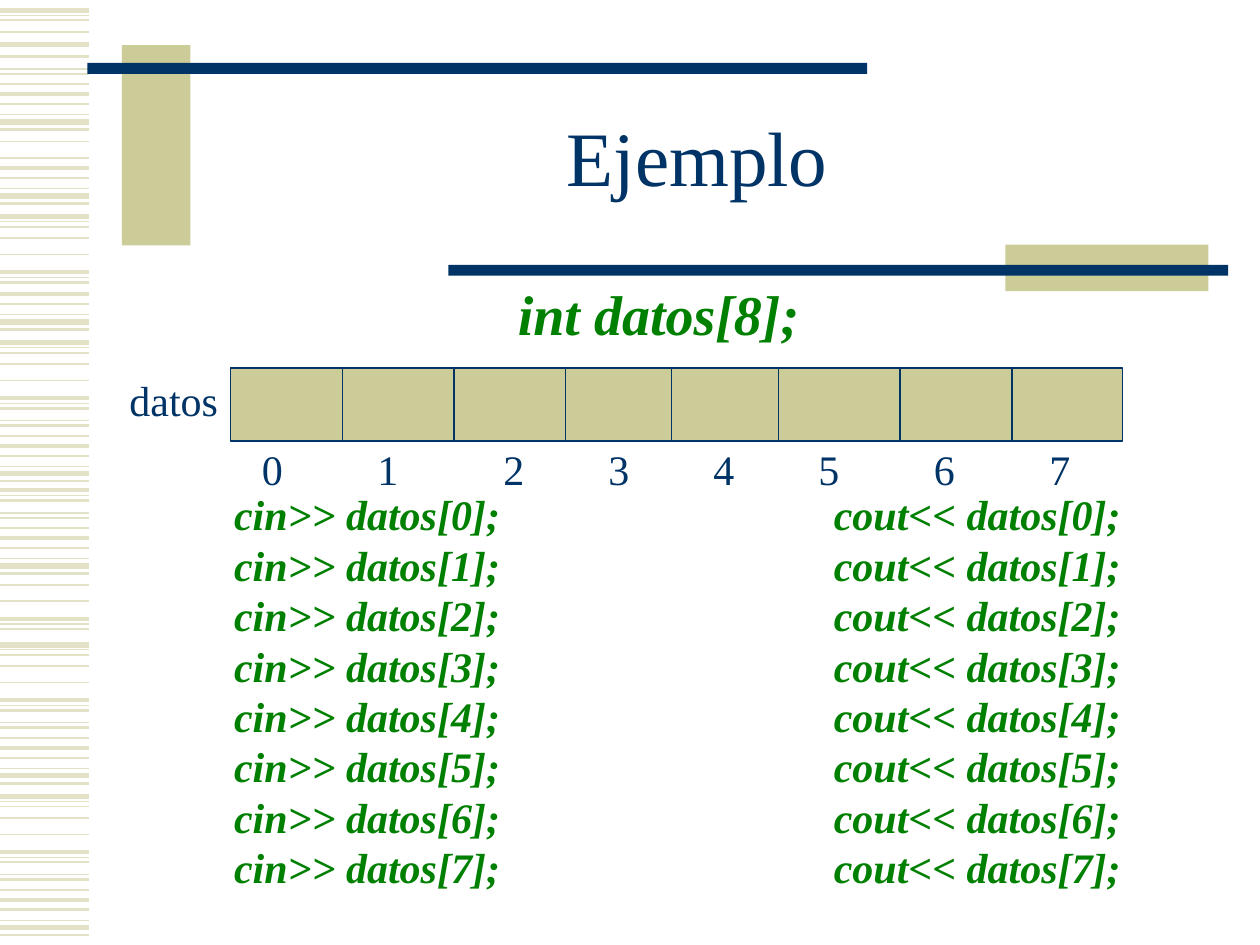
import itertools

import pptx
import pptx.dml.color
import pptx.enum.shapes
import pptx.enum.text
import pptx.oxml
import pptx.oxml.ns
import pptx.util
from pptx.util import Cm

NAVY, SAND, PALE, GREEN = "003366", "CCCC99", "E3E2C7", "008000"
CELLS = 8


def colour(value):
    return pptx.dml.color.RGBColor.from_string(value)


def add_element(parent, tag, **attributes):
    element = pptx.oxml.parse_xml(f"<a:{tag} {pptx.oxml.ns.nsdecls('a')}/>")
    for name, value in attributes.items():
        element.set(name, str(value))
    parent.append(element)
    return element


def write(para, text, size=24, ink=NAVY, strong=False, align=None, spacing=None, tabs=()):
    """Fill a paragraph with one formatted span; tabs are stops in points."""
    if align is not None:
        para.alignment = align
    if spacing:
        para.line_spacing = spacing
    if tabs:
        stops = add_element(para._p.get_or_add_pPr(), "tabLst")
        for stop in tabs:
            add_element(stops, "tab", pos=pptx.util.Pt(stop), algn="l")
    span = para.add_run()
    span.text = text
    span.font.name = "Times New Roman"
    span.font.size = pptx.util.Pt(size)
    span.font.color.rgb = colour(ink)
    span.font.bold = span.font.italic = strong


class SlideBuilder:
    def __init__(self, page):
        self.page = page

    def line(self, x1, y1, x2, y2, ink, weight):
        line = self.page.shapes.add_connector(
            pptx.enum.shapes.MSO_CONNECTOR.STRAIGHT, Cm(x1), Cm(y1), Cm(x2), Cm(y2))
        line.line.color.rgb = colour(ink)
        line.line.width = pptx.util.Pt(weight)
        add_element(line._element.spPr, "effectLst")

    def bar(self, left, top, width, height, fill, outline=None):
        bar = self.page.shapes.add_shape(
            pptx.enum.shapes.MSO_SHAPE.RECTANGLE, Cm(left), Cm(top), Cm(width), Cm(height))
        bar.shadow.inherit = False
        bar.fill.solid()
        bar.fill.fore_color.rgb = colour(fill)
        if outline:
            bar.line.color.rgb = colour(outline)
            bar.line.width = pptx.util.Pt(0.75)
        else:
            bar.line.fill.background()

    def text(self, left, top, width, height, lines, wrap=False, middle=False, **style):
        box = self.page.shapes.add_textbox(Cm(left), Cm(top), Cm(width), Cm(height))
        frame = box.text_frame
        frame.word_wrap = wrap
        if middle:
            frame.vertical_anchor = pptx.enum.text.MSO_ANCHOR.MIDDLE
        for index, line in enumerate(lines):
            para = frame.add_paragraph() if index else frame.paragraphs[0]
            write(para, line, **style)


def draw_stripes(builder):
    # Distance above the lowest stripe in cm, and weight in points
    motif = [(0, 1.5), (0.15, 3), (0.3, 0.75), (0.51, 1.5), (0.71, 2.25), (0.91, 1),
             (1.12, 1.5), (1.22, 0.75), (1.47, 1.5), (1.57, 0.75), (1.68, 2.25),
             (2.03, 1), (2.36, 1), (2.59, 1), (2.69, 0.75), (2.79, 3)]
    # Base of each repeat, and which stripes of the motif it uses
    repeats = [(18.85, 0, 16), (15.79, 0, 16), (14.15, 8, 13), (11.56, 0, 11),
               (9.7, 0, 16), (6.64, 0, 5), (7.16, 8, 16), (4.1, 0, 6),
               (5.21, 12, 13), (2.61, 0, 9), (1.04, 1, 2), (3, 12, 16)]
    for base, first, end in repeats:
        for rise, weight in motif[first:end]:
            builder.line(0, base - rise, 1.8, base - rise, PALE, weight)


def main():
    deck = pptx.Presentation()
    deck.slide_width, deck.slide_height = Cm(25.4), Cm(19.05)
    builder = SlideBuilder(deck.slides.add_slide(deck.slide_layouts[6]))

    # Background decoration
    draw_stripes(builder)
    builder.bar(2.46, 0.91, 1.38, 4.04, SAND)
    builder.bar(1.76, 1.27, 15.72, 0.22, NAVY)
    builder.bar(20.27, 4.93, 4.09, 0.94, SAND)
    builder.bar(9.04, 5.34, 15.72, 0.22, NAVY)

    # Title and declaration
    builder.text(3.81, 1.7, 20.5, 3.18, ["Ejemplo"], wrap=True, middle=True, size=44,
                 align=pptx.enum.text.PP_ALIGN.CENTER, spacing=0.85)
    builder.text(10.19, 5.51, 6.2, 1.63, ["int datos[8];"],
                 size=32, ink=GREEN, strong=True)

    # Array with its name and indices
    builder.bar(4.65, 7.42, 17.98, 1.47, SAND, outline=NAVY)
    for x in (6.91, 9.15, 11.4, 13.54, 15.7, 18.14, 20.4):
        builder.line(x, 7.42, x, 8.89, NAVY, 0.75)
    builder.text(2.36, 7.42, 2.29, 1.27, ["datos"])
    stops = itertools.accumulate([66, 72, 60, 60, 60, 66, 66])
    builder.text(5.03, 8.81, 17.02, 1.27, ["\t".join(map(str, range(CELLS)))],
                 wrap=True, tabs=list(stops))

    # Reading and printing each cell
    for left, width, command in ((4.47, 5.87, "cin>>"), (16.56, 6.3, "cout<<")):
        builder.text(left, 9.73, width, 8.38,
                     [f"{command} datos[{cell}];" for cell in range(CELLS)],
                     ink=GREEN, strong=True)

    deck.save("out.pptx")


if __name__ == "__main__":
    main()
